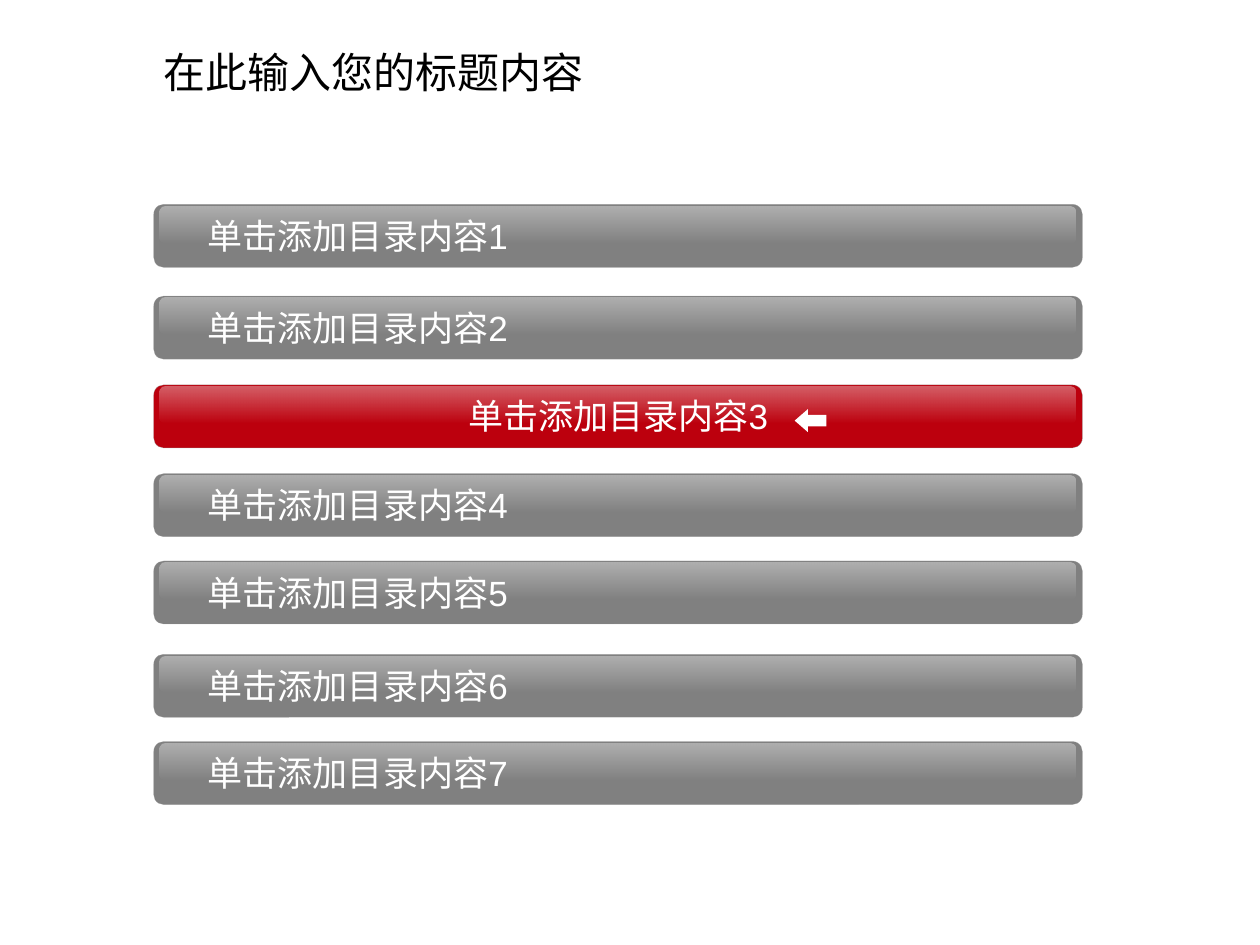
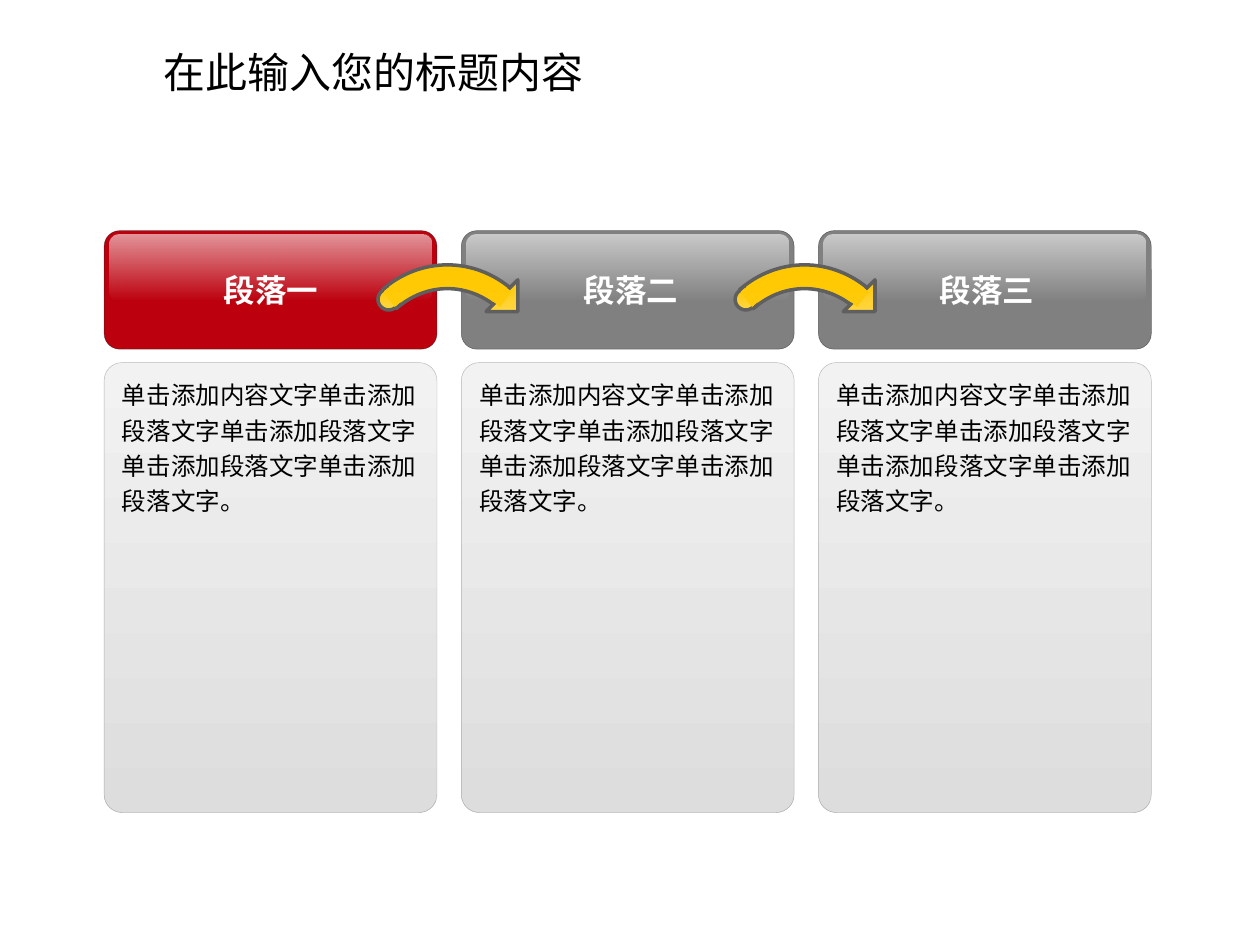
"""Build a contents slide and a three-step slide in a shared red and grey style."""
from math import cos, radians, sin, tan

from lxml.etree import SubElement
from pptx import Presentation
from pptx.dml.color import RGBColor
from pptx.enum.shapes import MSO_SHAPE
from pptx.enum.text import MSO_ANCHOR, MSO_AUTO_SIZE, PP_ALIGN
from pptx.oxml.ns import qn
from pptx.util import Cm, Pt

HUES = {
    "red": "BC000D", "grey": "808080", "edge": "969696", "dark": "1C1C1C",
    "rim": "5F5F5F", "gold": "FFC800", "sun": "FFD643", "pale": "F2F2F2",
    "mist": "DDDDDD", "white": "FFFFFF", "black": "000000",
}
TITLE = "在此输入您的标题内容"
ITEM = "单击添加目录内容"
BODY = "单击添加内容文字" + "单击添加段落文字" * 4 + "。"
GOLD = ("gold", "sun")


def hue(name):
    return RGBColor.from_string(HUES[name])


def fade(color, alpha):
    SubElement(color, qn("a:alpha"), val=str(alpha * 1000))


def write(frame, text, size=20, color="white", bold=False, align=PP_ALIGN.LEFT,
          anchor=MSO_ANCHOR.TOP, before=0, lead=None):
    frame.word_wrap = True
    frame.auto_size = MSO_AUTO_SIZE.NONE
    frame.vertical_anchor = anchor
    para = frame.paragraphs[0]
    para.alignment = align
    para.space_before = Pt(before)
    if lead:
        para.line_spacing = lead
    run = para.add_run()
    run.text = text
    font = run.font
    font.name, font.size, font.bold = "Arial", Pt(size), bold
    font.color.rgb = hue(color)


def bend(mid, wide, tall, turns):
    """Return the first point and the curves of an elliptic arc."""
    def spot(turn, pull=0):
        x, y = sin(radians(turn)), -cos(radians(turn))
        return mid[0] + wide * (x - pull * y), mid[1] + tall * (y + pull * x)
    curves = []
    for start, end in zip(turns, turns[1:]):
        pull = 4 / 3 * tan(radians(end - start) / 4)
        curves.append(("cubicBezTo", [spot(start, pull), spot(end, -pull), spot(end)]))
    return spot(turns[0]), curves


class Deck:
    def __init__(self):
        self.show = Presentation()
        self.show.slide_width, self.show.slide_height = Cm(25.4), Cm(19.05)
        self.slide = self.pen = None

    def page(self):
        self.slide = self.show.slides.add_slide(self.show.slide_layouts[5])
        self.pen = self.slide.shapes
        head = self.pen.title
        head.left, head.top, head.width, head.height = map(Cm, (3.05, 0.81, 13.36, 1.27))
        write(head.text_frame, TITLE, size=24, color="black")

    def group(self):
        self.pen = self.slide.shapes.add_group_shape().shapes

    def loose(self):
        self.pen = self.slide.shapes

    def paint(self, shape, fill, line=None, width=0.25, clear=None, angle=270):
        shape.shadow.inherit = False
        if isinstance(fill, tuple):
            shape.fill.gradient()
            shape.fill.gradient_angle = angle
            for stop, name, place in zip(shape.fill.gradient_stops, fill, (0, 1)):
                stop.color.rgb = hue(name)
                stop.position = place
        else:
            shape.fill.solid()
            shape.fill.fore_color.rgb = hue(fill)
        if line:
            shape.line.color.rgb = hue(line)
            shape.line.width = Pt(width)
            if clear:
                fade(shape._element.spPr.find(qn("a:ln")).find(".//" + qn("a:srgbClr")), clear)
        else:
            shape.line.fill.background()
        return shape

    def form(self, kind, box, fill, adj=(), **style):
        shape = self.pen.add_shape(kind, *map(Cm, box))
        for spot, value in enumerate(adj):
            shape.adjustments[spot] = value
        return self.paint(shape, fill, **style)

    def curve(self, box, moves, fill, **style):
        left, top, wide, tall = map(Cm, box)
        pen = self.pen.build_freeform(left, top)
        pen.add_line_segments([(left + wide, top), (left + wide, top + tall),
                               (left, top + tall)])
        shape = pen.convert_to_shape()
        trace = shape._element.spPr.find(".//" + qn("a:path"))
        for part in list(trace):
            trace.remove(part)
        for kind, spots in moves:
            step = SubElement(trace, qn("a:" + kind))
            for x, y in spots:
                SubElement(step, qn("a:pt"), x=str(int(Cm(x))), y=str(int(Cm(y))))
        SubElement(trace, qn("a:close"))
        return self.paint(shape, fill, **style)

    def gloss(self, box, adj, alpha):
        shape = self.form(MSO_SHAPE.ROUNDED_RECTANGLE, box, ("white", "white"), (adj,))
        stops = list(shape._element.spPr.iter(qn("a:srgbClr")))
        for color, value in zip(stops, (alpha, 0)):
            fade(color, value)

    def label(self, box, text, **style):
        write(self.pen.add_textbox(*map(Cm, box)).text_frame, text, **style)

    def bar(self, top, text, live):
        left, width = 3.1, 18.72
        self.group()
        self.form(MSO_SHAPE.ROUNDED_RECTANGLE, (left, top, width, 1.27),
                  "red" if live else "grey", (0.157,), line="edge", clear=57)
        self.gloss((left + 0.12, top + 0.04, 18.46, 0.72), 0.143, 38)
        inset = 0 if live else 0.84
        self.label((left + inset, top + 0.08, width - inset, 1.09), text, before=12.5,
                   anchor=MSO_ANCHOR.MIDDLE,
                   align=PP_ALIGN.CENTER if live else PP_ALIGN.LEFT)

    def step(self, left, text, fill, start, width):
        top = 4.65
        self.group()
        self.form(MSO_SHAPE.ROUNDED_RECTANGLE, (left, top, 6.71, 2.39), fill,
                  (0.131,), line="dark", clear=57)
        self.gloss((left + 0.11, top + 0.08, 6.48, 1.32), 0.13, 59)
        self.label((start, 5.33, width, 1.02), text, size=18, bold=True,
                   align=PP_ALIGN.CENTER, before=11.2)

    def card(self, left):
        w, h, r, b = 6.71, 9.07, 0.37, 0.16
        moves = [
            ("moveTo", [(r, 0)]),
            ("cubicBezTo", [(b, 0), (0, b), (0, r)]),
            ("lnTo", [(0, h - r)]),
            ("cubicBezTo", [(0, h - b), (b, h), (r, h)]),
            ("lnTo", [(w - r, h)]),
            ("cubicBezTo", [(w - b, h), (w, h - b), (w, h - r)]),
            ("lnTo", [(w, r)]),
            ("cubicBezTo", [(w, b), (w - b, 0), (w - r, 0)]),
        ]
        shape = self.curve((left, 7.31, w, h), moves, ("pale", "mist"),
                           line="edge", clear=68)
        frame = shape.text_frame
        frame.margin_left = frame.margin_right = Cm(0.36)
        frame.margin_top = frame.margin_bottom = Cm(0.24)
        write(frame, BODY, size=14, color="black", lead=1.2)

    def band(self, mid, trim, **style):
        wide, tall = 2.11, 2.32
        hub = (wide, tall - trim)
        first, outer = bend(hub, wide - trim, tall - trim, (38.5, 0, -38.5))
        begin, inner = bend(hub, 1.65 + trim, 1.84 + trim, (-38.5, 0, 38.5))
        moves = [("moveTo", [begin]), *inner, ("lnTo", [first]), *outer]
        self.curve((mid - wide, 5.34 + trim, wide * 2, tall * 2), moves, GOLD, **style)

    def swoop(self, mid):
        rim = {"line": "rim", "width": 2}
        self.group()
        self.band(mid, 0, **rim)
        tip = self.form(MSO_SHAPE.RIGHT_TRIANGLE, (mid + 0.78, 5.64, 0.64, 0.64),
                        GOLD, angle=180, **rim)
        tip.rotation = 270
        self.form(MSO_SHAPE.OVAL, (mid - 1.4, 5.82, 0.43, 0.43), GOLD, **rim)
        self.band(mid, 0.05)


def main():
    deck = Deck()
    deck.page()
    tops = (4.12, 5.97, 7.76, 9.55, 11.31, 13.19, 14.95)
    for num, top in enumerate(tops, 1):
        deck.bar(top, f"{ITEM}{num}", num == 3)
    deck.loose()
    deck.form(MSO_SHAPE.LEFT_ARROW, (16.02, 8.25, 0.64, 0.46), "white", (0.5, 0.578))

    deck.page()
    lefts = [2.1 + 7.2 * n for n in range(3)]
    names = (("段落一", "red", 2.1, 6.73), ("段落二", "grey", 9.53, 6.38),
             ("段落三", "grey", 16.66, 6.48))
    for left, name in zip(lefts, names):
        deck.step(left, *name)
    for left in lefts[:2]:
        deck.swoop(left + 6.92)
    deck.loose()
    for left in lefts:
        deck.card(left)
    deck.show.save("out.pptx")


if __name__ == "__main__":
    main()
